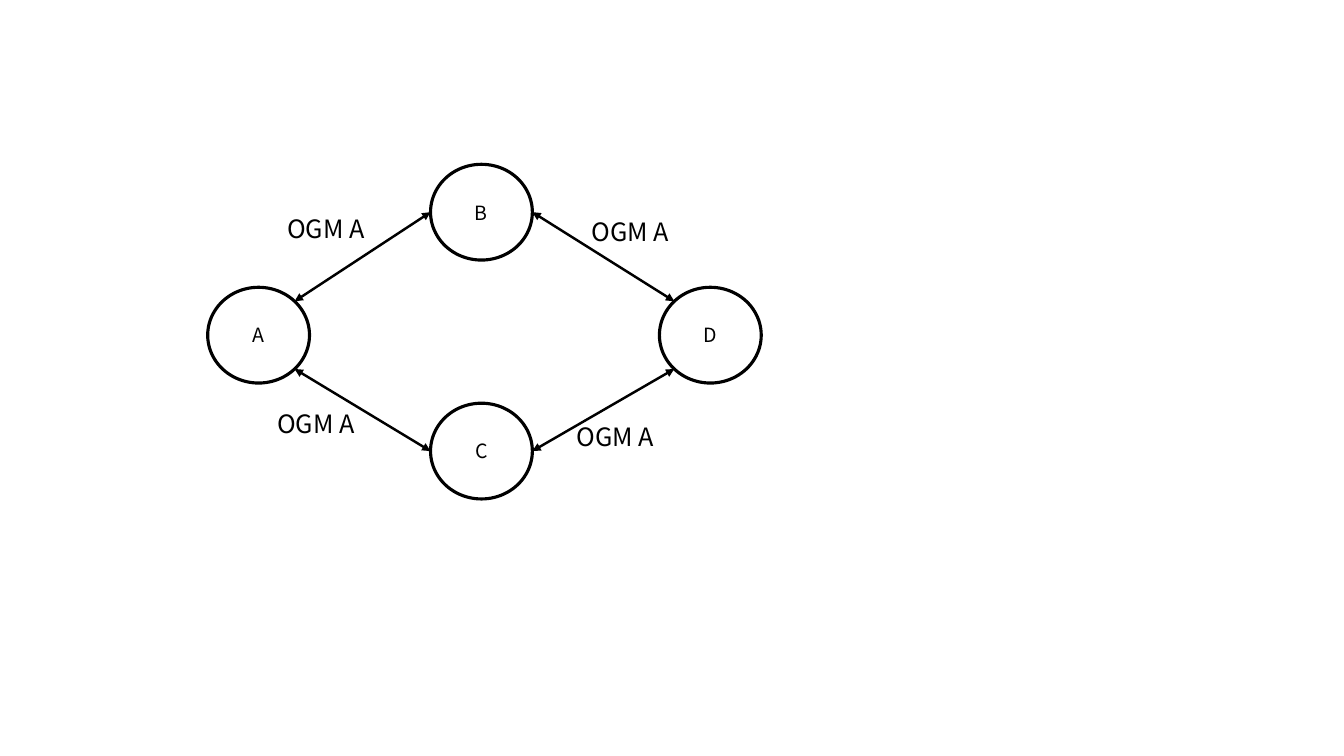
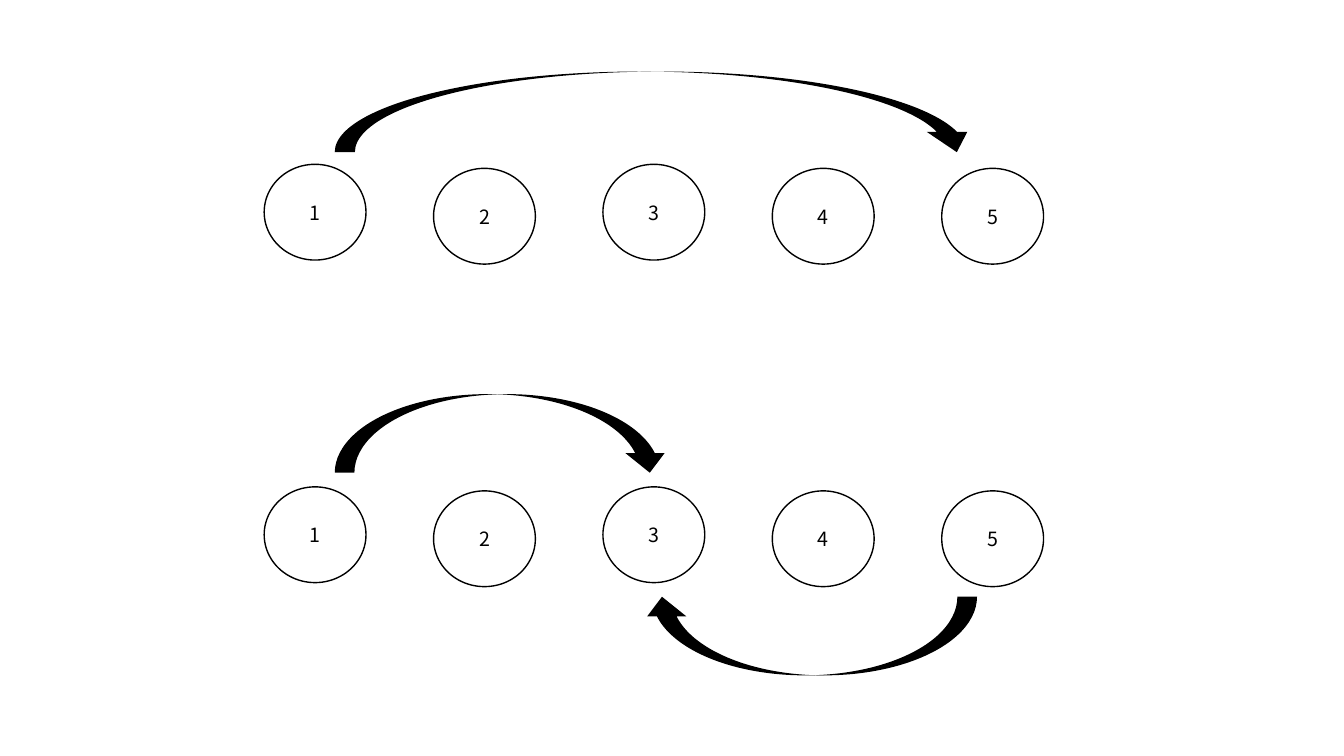
from math import sqrt

from lxml import etree
from pptx import Presentation
from pptx.dml.color import RGBColor
from pptx.enum.shapes import MSO_CONNECTOR as Link, MSO_SHAPE as Preset
from pptx.enum.text import MSO_ANCHOR as Anchor, MSO_AUTO_SIZE as AutoSize, PP_ALIGN as Align
from pptx.oxml.ns import qn
from pptx.util import Inches, Pt

FONT = "Noto Sans CJK SC"
INK = "000000"
NODE_WIDTH, NODE_HEIGHT = 1.01, 0.95

# Mesh: node corners, links as (node, side, node, side), label corners
MESH_NODES = {"A": (2.06, 2.85), "B": (4.27, 1.63), "C": (4.27, 4), "D": (6.54, 2.85)}
MESH_LINKS = [
    ("A", "upper right", "B", "left"),
    ("A", "lower right", "C", "left"),
    ("D", "upper left", "B", "right"),
    ("C", "right", "D", "lower left"),
]
LINK_LABEL = "OGM A"
LABEL_CORNERS = [(2.75, 2.07), (2.65, 4), (5.77, 2.1), (5.62, 4.13)]

# Hops: each row has its top and its arrows as (left, top, width, height, rotation)
HOP_NODES = ["1", "2", "3", "4", "5"]
HOP_LEFT, HOP_STEP, EVEN_DROP = 2.62, 1.68, 0.04
HOP_ROWS = [
    (1.63, [(3.32, 0.71, 6.37, 0.8, 0)]),
    (4.83, [(3.32, 3.91, 3.32, 0.78, 0), (6.37, 5.92, 3.32, 0.78, 180)]),
]
DROPPED = {"2", "4", "5"}

DIAGONAL = 1 / sqrt(2)
SIDES = {
    "left": (-1, 0),
    "right": (1, 0),
    "upper left": (-DIAGONAL, -DIAGONAL),
    "upper right": (DIAGONAL, -DIAGONAL),
    "lower left": (-DIAGONAL, DIAGONAL),
    "lower right": (DIAGONAL, DIAGONAL),
}


def color(value):
    return RGBColor.from_string(value)


def add_span(para, text, size):
    span = para.add_run()
    span.text = text
    span.font.name = FONT
    span.font.size = Pt(size)
    span.font.color.rgb = color(INK)


def add_node(group, name, left, top, line_width):
    node = group.shapes.add_shape(
        Preset.OVAL, Inches(left), Inches(top), Inches(NODE_WIDTH), Inches(NODE_HEIGHT))
    node.shadow.inherit = False
    node.fill.background()
    node.line.color.rgb = color(INK)
    node.line.width = Pt(line_width)
    node.text_frame.vertical_anchor = Anchor.MIDDLE
    para = node.text_frame.paragraphs[0]
    para.alignment = Align.CENTER
    add_span(para, name, 14)


def rim_point(name, side):
    """Return the point on a mesh node's outline at the named side."""
    left, top = MESH_NODES[name]
    across, down = SIDES[side]
    return (Inches(left + NODE_WIDTH / 2 * (1 + across)),
            Inches(top + NODE_HEIGHT / 2 * (1 + down)))


def add_link(group, start, end):
    """Draw a line with an arrowhead at both ends."""
    link = group.shapes.add_connector(Link.STRAIGHT, *start, *end)
    link.line.color.rgb = color(INK)
    link.line.width = Pt(1.75)
    outline = link.line._get_or_add_ln()
    for tag in ("a:headEnd", "a:tailEnd"):
        etree.SubElement(outline, qn(tag), type="triangle")
    etree.SubElement(link._element.spPr, qn("a:effectLst"))


def add_label(group, left, top):
    box = group.shapes.add_textbox(Inches(left), Inches(top), Inches(1.35), Inches(0.4))
    box.text_frame.word_wrap = True
    box.text_frame.auto_size = AutoSize.SHAPE_TO_FIT_TEXT
    add_span(box.text_frame.paragraphs[0], LINK_LABEL, 18)


def add_hop(group, left, top, width, height, rotation):
    arrow = group.shapes.add_shape(
        Preset.CURVED_DOWN_ARROW, Inches(left), Inches(top), Inches(width), Inches(height))
    arrow.rotation = rotation
    arrow.shadow.inherit = False
    arrow.fill.solid()
    arrow.fill.fore_color.rgb = color(INK)
    arrow.line.fill.background()


def add_page(deck):
    return deck.slides.add_slide(deck.slide_layouts.get_by_name("Blank"))


def build_mesh(deck):
    group = add_page(deck).shapes.add_group_shape()
    for name, (left, top) in MESH_NODES.items():
        add_node(group, name, left, top, 2.25)
    for start, start_side, end, end_side in MESH_LINKS:
        add_link(group, rim_point(start, start_side), rim_point(end, end_side))
    for left, top in LABEL_CORNERS:
        add_label(group, left, top)


def build_hops(deck):
    page = add_page(deck)
    for top, arrows in HOP_ROWS:
        group = page.shapes.add_group_shape()
        for index, name in enumerate(HOP_NODES):
            drop = EVEN_DROP if name in DROPPED else 0
            add_node(group, name, HOP_LEFT + index * HOP_STEP, top + drop, 1)
        for arrow in arrows:
            add_hop(group, *arrow)


def main():
    deck = Presentation()
    deck.slide_width, deck.slide_height = Inches(13.33), Inches(7.5)
    build_mesh(deck)
    build_hops(deck)
    deck.save("out.pptx")


if __name__ == "__main__":
    main()
